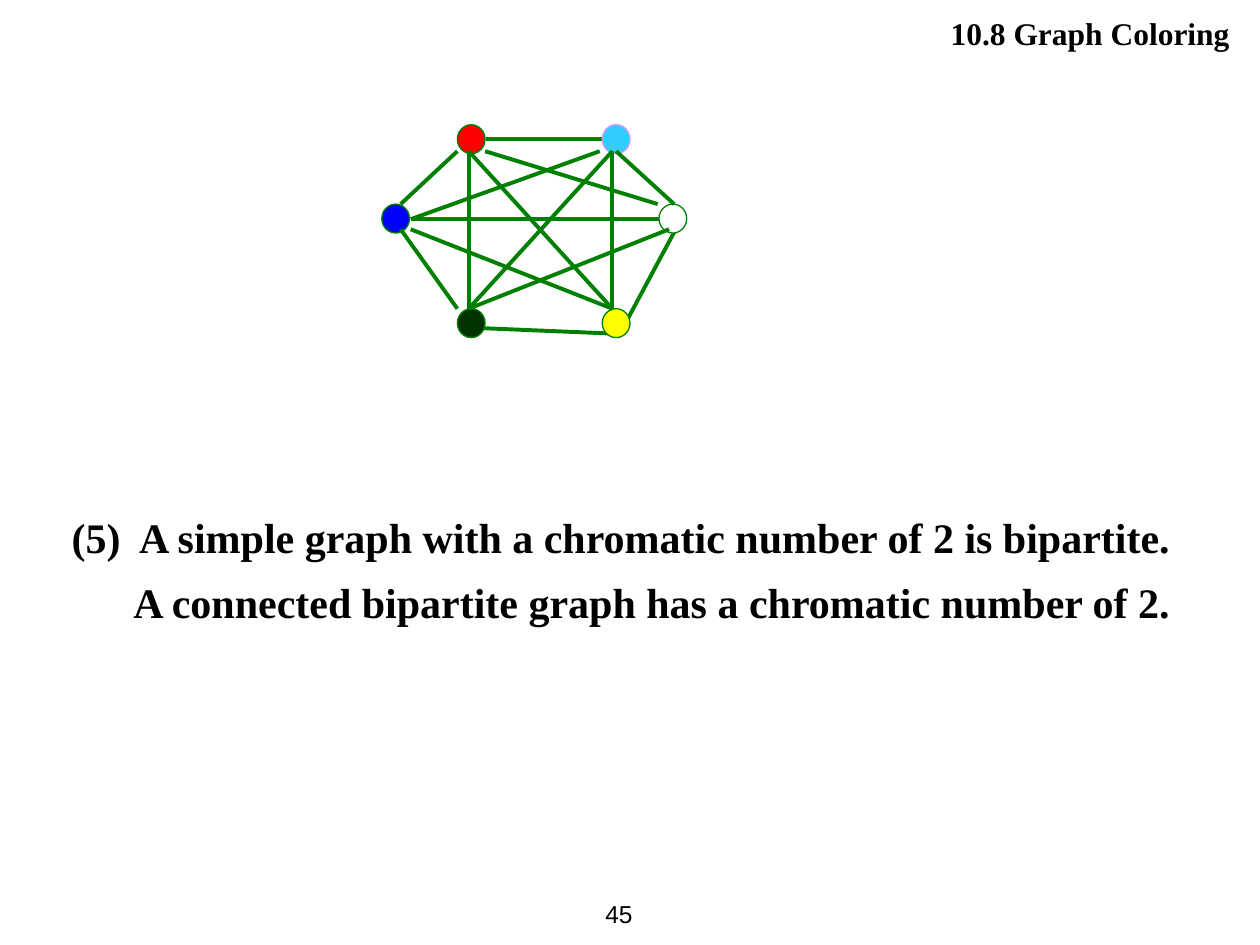
from lxml import etree
from pptx import Presentation
from pptx import util as u
from pptx.dml import color
from pptx.enum import shapes, text
from pptx.oxml import ns

BLACK, GREEN, LILAC = "000000", "008000", "CC99FF"
SERIF, SANS = "Times New Roman", "Arial"


def rgb(value):
    return color.RGBColor.from_string(value)


class GraphSlide:
    def __init__(self, presentation):
        self.slide = presentation.slides.add_slide(presentation.slide_layouts[5])
        self.graph = self.slide.shapes.add_group_shape().shapes
        self.node_width, self.node_height = 0.22, 0.23

    def set_text(self, shape, box, lines, size, font, bold=False, wrap=True,
                 align=text.PP_ALIGN.LEFT, anchor=text.MSO_ANCHOR.TOP):
        """Place a text shape; lines holds pairs of wording and left indent."""
        shape.left, shape.top, shape.width, shape.height = map(u.Inches, box)
        frame = shape.text_frame
        frame.word_wrap = wrap
        frame.auto_size = text.MSO_AUTO_SIZE.NONE
        frame.vertical_anchor = anchor
        for index, (wording, indent) in enumerate(lines):
            paragraph = frame.add_paragraph() if index else frame.paragraphs[0]
            paragraph.alignment = align
            if indent:
                properties = paragraph._p.get_or_add_pPr()
                properties.set("marL", str(u.Inches(indent)))
                properties.set("indent", "0")
            paragraph.space_before = u.Pt(0.35 * size if index else 0)
            run = paragraph.add_run()
            run.text = wording
            run.font.size = u.Pt(size)
            run.font.name = font
            run.font.bold = bold
            run.font.color.rgb = rgb(BLACK)

    def title(self, *args, **style):
        self.set_text(self.slide.shapes.title, *args, **style)

    def textbox(self, *args, **style):
        self.set_text(self.slide.shapes.add_textbox(0, 0, 0, 0), *args, **style)

    def node(self, left, top, fill, outline=GREEN):
        shape = self.graph.add_shape(
            shapes.MSO_SHAPE.FLOWCHART_CONNECTOR, u.Inches(left), u.Inches(top),
            u.Inches(self.node_width), u.Inches(self.node_height))
        shape.shadow.inherit = False
        shape.fill.solid()
        shape.fill.fore_color.rgb = rgb(fill)
        shape.line.color.rgb = rgb(outline)
        shape.line.width = u.Pt(0.75)

    def edge(self, start, end):
        line = self.graph.add_connector(
            shapes.MSO_CONNECTOR.STRAIGHT, *map(u.Inches, start + end))
        line.line.color.rgb = rgb(GREEN)
        line.line.width = u.Pt(2.25)
        etree.SubElement(line._element.spPr, ns.qn("a:effectLst"))


def main():
    presentation = Presentation()
    presentation.slide_width, presentation.slide_height = u.Inches(10), u.Inches(7.5)
    page = GraphSlide(presentation)

    # Heading
    page.title((3.98, 0.06, 5.88, 0.4), [("10.8 Graph Coloring", 0)], 18, SERIF,
               bold=True, align=text.PP_ALIGN.RIGHT)

    # Shared edge ends: upper nodes from below, lower nodes from above
    red, sky = (3.72, 1.2), (4.86, 1.2)
    dark, yellow = (3.72, 2.45), (4.86, 2.45)
    blue, white = (3.26, 1.74), (5.31, 1.74)
    blue_low, white_low = (3.26, 1.82), (5.31, 1.82)

    # Edges that pass under the nodes
    for start, end in [
        (blue, white),
        ((5.39, 1.77), (4.94, 2.61)),
        ((3.72, 2.6), (4.92, 2.65)),
        ((3.86, 1.1), (4.78, 1.1)),
    ]:
        page.edge(start, end)

    # Six nodes in three rows
    upper, middle, lower = 0.99, 1.62, 2.45
    page.node(3.63, upper, "FF0000")
    page.node(4.78, upper, "33CCFF", LILAC)
    page.node(3.03, middle, "0000FF")
    page.node(5.23, middle, "FFFFFF")
    page.node(3.63, lower, "003300")
    page.node(4.78, lower, "FFFF00")

    # Edges that end on top of the nodes
    for start, end in [
        ((3.63, 1.2), (3.18, 1.62)),
        ((3.18, 1.82), (3.63, 2.45)),
        ((4.89, 1.2), (5.35, 1.62)),
        (sky, dark),
        (blue, (4.76, 1.2)),
        (blue_low, yellow),
        (sky, yellow),
        (dark, white_low),
        (red, yellow),
        (red, dark),
        ((3.85, 1.2), (5.22, 1.62)),
    ]:
        page.edge(start, end)

    # Statement
    page.textbox((0.39, 4.01, 9.1, 1.02), [
        ("(5)  A simple graph with a chromatic number of 2 is bipartite.", 0.08),
        ("A connected bipartite graph has a chromatic number of 2.", 0.57),
    ], 24, SERIF, bold=True)

    # Page number
    page.textbox((4.45, 7, 0.67, 0.5), [("45", 0)], 14, SANS, wrap=False,
                 align=text.PP_ALIGN.RIGHT, anchor=text.MSO_ANCHOR.MIDDLE)

    presentation.save("out.pptx")


if __name__ == "__main__":
    main()
